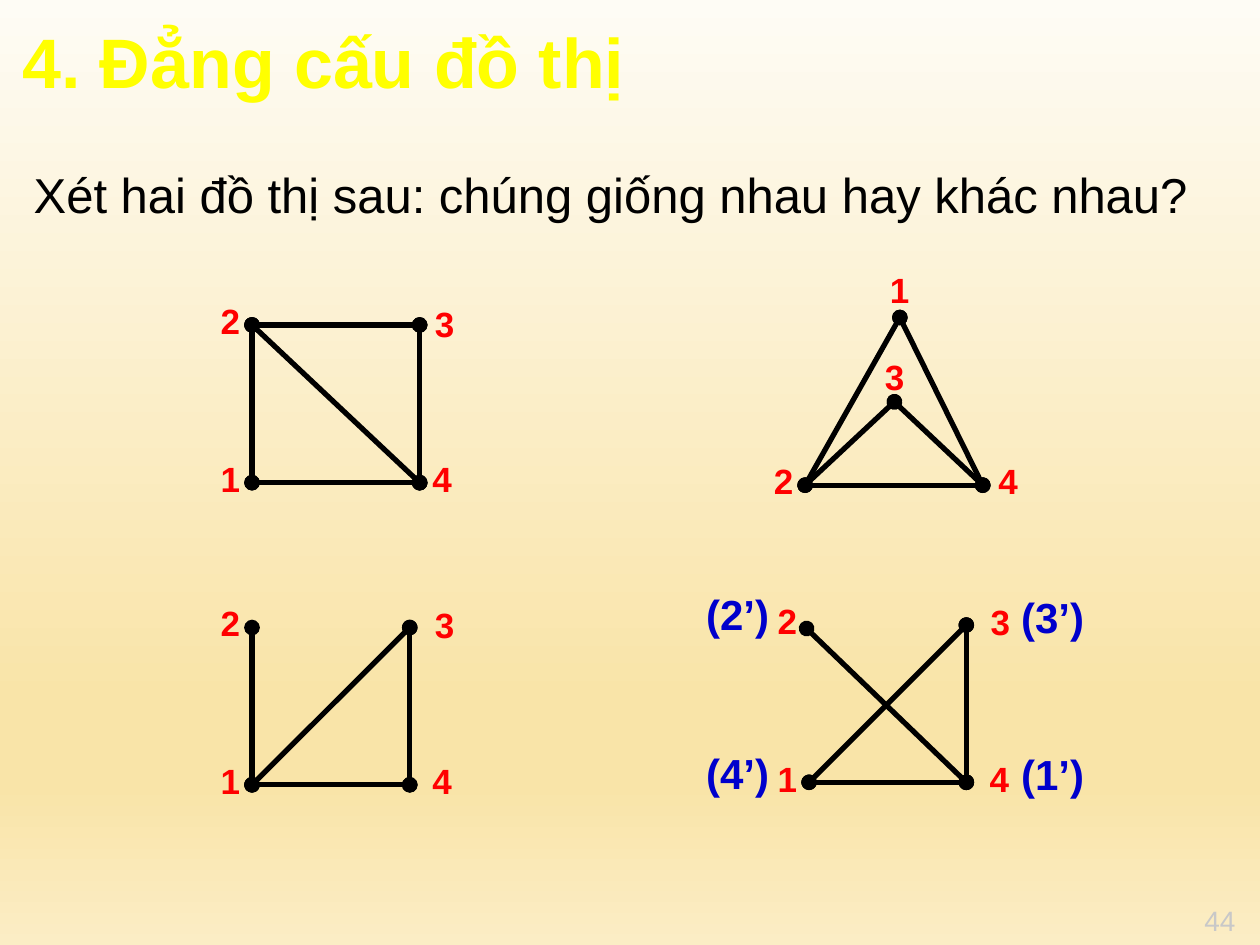
from lxml.etree import SubElement as Sub
from pptx import Presentation
from pptx.dml.color import RGBColor as Rgb
from pptx.enum.shapes import MSO_CONNECTOR as Conn
from pptx.enum.text import MSO_ANCHOR as Anchor, PP_ALIGN as Align
from pptx.oxml.ns import qn
from pptx.util import Cm, Pt

BLACK = Rgb(0, 0, 0)
RED = Rgb(255, 0, 0)
BLUE = Rgb(0, 0, 0xCC)
YELLOW = Rgb(255, 255, 0)
GREY = Rgb(0xC8, 0xC8, 0xC8)
CREAM = Rgb(0xFE, 0xFC, 0xF5)
SAND = Rgb(0xF9, 0xE4, 0xA8)
PALE = Rgb(0xFB, 0xED, 0xC5)

STOPS = [(0, CREAM), (74, SAND), (83, SAND), (100, PALE)]

GRAPHS = [
    ({1: (5.08, 9.73), 2: (5.08, 6.55), 3: (8.46, 6.55), 4: (8.46, 9.73)},
     {1: (4.01, 9.09), 2: (4.01, 5.92), 3: (8.33, 5.97), 4: (8.28, 9.09)},
     [(2, 3), (1, 4), (3, 4), (2, 1), (2, 4)]),
    ({1: (18.14, 6.4), 2: (16.23, 9.78), 3: (18.03, 8.1), 4: (19.81, 9.78)},
     {1: (17.5, 5.28), 2: (15.16, 9.14), 3: (17.4, 7.04), 4: (19.69, 9.14)},
     [(2, 4), (1, 4), (1, 2), (3, 4), (3, 2)]),
    ({1: (5.08, 15.82), 2: (5.08, 12.65), 3: (8.26, 12.65), 4: (8.26, 15.82)},
     {1: (4.01, 15.19), 2: (4.01, 12.01), 3: (8.33, 12.04), 4: (8.28, 15.19)},
     [(1, 4), (3, 4), (2, 1), (3, 1)]),
    ({1: (16.31, 15.77), 2: (16.26, 12.67), 3: (19.48, 12.6), 4: (19.48, 15.77)},
     {1: (15.24, 15.14), 2: (15.24, 11.96), 3: (19.53, 11.99), 4: (19.51, 15.14)},
     [(1, 4), (3, 4), (2, 4), (3, 1)]),
]

MARKS = {"(2’)": (13.97, 11.73), "(3’)": (20.32, 11.79),
         "(4’)": (13.97, 14.94), "(1’)": (20.32, 14.96)}


def apply(item, values):
    for name, value in values.items():
        setattr(item, name, value)


class Deck:
    face = "Arial"
    width = Pt(3)

    def __init__(self):
        self.file = Presentation()
        apply(self.file, {"slide_width": Cm(25.4), "slide_height": Cm(19.05)})
        self.slide = self.file.slides.add_slide(self.file.slide_layouts[6])

    def back(self, stops):
        fill = self.slide.background.fill
        fill.gradient()
        fill.gradient_angle = 270
        row = next(self.slide.element.iter(qn("a:gsLst")))
        for old in list(row):
            row.remove(old)
        for place, color in stops:
            stop = Sub(row, qn("a:gs"), pos=str(place * 1000))
            Sub(stop, qn("a:srgbClr"), val=str(color))

    def text(self, words, at, font, para=None, frame=None, shapes=None):
        box = (shapes or self.slide.shapes).add_textbox(*map(Cm, at)).text_frame
        apply(box, {"word_wrap": True, **(frame or {})})
        line = box.paragraphs[0]
        apply(line, para or {})
        run = line.add_run()
        run.text = words
        look = dict(font)
        run.font.color.rgb = look.pop("color")
        apply(run.font, {"name": self.face, **look})

    def label(self, words, spot, size, font, shapes=None):
        self.text(words, (*spot, *size), font, {"alignment": Align.CENTER},
                  shapes=shapes)

    def edge(self, start, end, shapes):
        line = shapes.add_connector(Conn.STRAIGHT, *map(Cm, (*start, *end)))
        line.line.color.rgb = BLACK
        line.line.width = self.width
        for tip in ("a:headEnd", "a:tailEnd"):
            Sub(line.line._get_or_add_ln(), qn(tip), type="oval")
        Sub(line._element.spPr, qn("a:effectLst"))

    def graph(self, nodes, spots, edges):
        shapes = self.slide.shapes.add_group_shape().shapes
        for a, b in edges:
            self.edge(nodes[a], nodes[b], shapes)
        font = {"size": Pt(20), "bold": True, "color": RED}
        for name, spot in spots.items():
            self.label(str(name), spot, (1.27, 1.12), font, shapes)


def main():
    deck = Deck()
    deck.back(STOPS)
    sides = ("left", "top", "right", "bottom")
    bare = {f"margin_{side}": 0 for side in sides}
    deck.text("44", (24.28, 18.21, 0.69, 0.69), {"size": Pt(16), "color": GREY},
              frame={**bare, "word_wrap": False})
    deck.text("4. Đẳng cấu đồ thị", (0.2, 0, 23.93, 2.67),
              {"size": Pt(40), "bold": True, "color": YELLOW},
              {"line_spacing": 0.9}, {"vertical_anchor": Anchor.MIDDLE})
    deck.text("Xét hai đồ thị sau: chúng giống nhau hay khác nhau?",
              (0.43, 3.2, 24.33, 12.27), {"size": Pt(28), "color": BLACK})
    for graph in GRAPHS:
        deck.graph(*graph)
    font = {"size": Pt(24), "bold": True, "color": BLUE}
    for words, spot in MARKS.items():
        deck.label(words, spot, (1.8, 1.3), font)
    deck.file.save("out.pptx")


if __name__ == "__main__":
    main()
